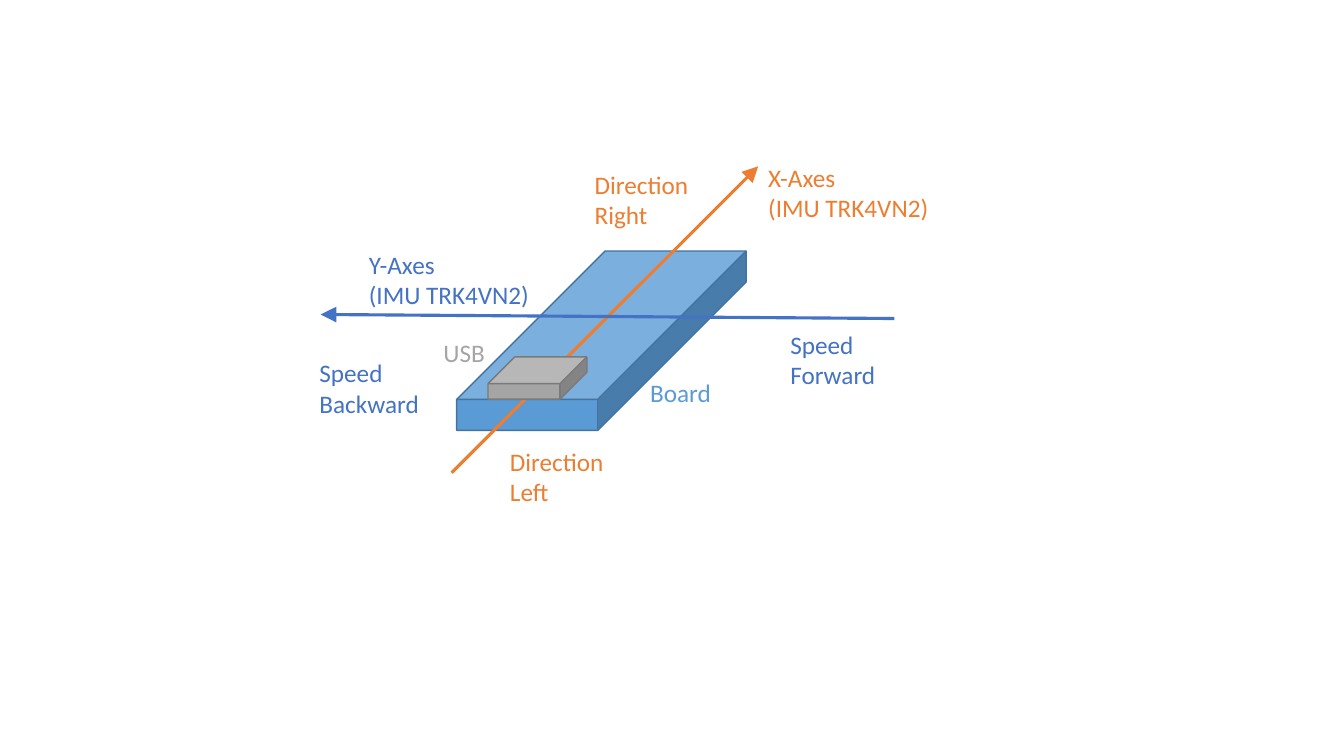
from dataclasses import dataclass

from lxml import etree
from pptx import Presentation
from pptx.dml.color import RGBColor
from pptx.enum.shapes import MSO_CONNECTOR, MSO_SHAPE
from pptx.enum.text import MSO_AUTO_SIZE
from pptx.oxml.ns import qn
from pptx.util import Inches, Pt

CUBE = MSO_SHAPE.CUBE
STRAIGHT = MSO_CONNECTOR.STRAIGHT
GROW = MSO_AUTO_SIZE.SHAPE_TO_FIT_TEXT

# Grid: ten columns and ten rows to the inch
COLS, ROWS = 133.3, 75
CELL = Inches(0.1)


@dataclass(frozen=True)
class Theme:
    font: str = "Calibri"
    size: int = 18
    edge: float = 1
    axis: float = 2.25
    x: str = "ED7D31"
    y: str = "4472C4"
    board: str = "5B9BD5"
    board_edge: str = "43739E"
    usb: str = "A5A5A5"
    usb_edge: str = "7A7A7A"


THEME = Theme()


def grid(*cells):
    return [round(n * CELL) for n in cells]


def rgb(code):
    return RGBColor.from_string(code)


def add_cube(slide, box, depth, fill, edge):
    cube = slide.shapes.add_shape(CUBE, *grid(*box))
    cube.shadow.inherit = False
    cube.adjustments[0] = depth
    cube.fill.solid()
    cube.fill.fore_color.rgb = rgb(fill)
    cube.line.color.rgb = rgb(edge)
    cube.line.width = Pt(THEME.edge)


def add_axis(slide, start, end, color):
    axis = slide.shapes.add_connector(STRAIGHT, *grid(*start, *end))
    axis.line.color.rgb = rgb(color)
    axis.line.width = Pt(THEME.axis)
    # Large arrowhead at the end, no shadow
    line = axis.line._get_or_add_ln()
    etree.SubElement(line, qn("a:tailEnd"), type="triangle", w="lg", len="lg")
    etree.SubElement(axis._element.spPr, qn("a:effectLst"))


def add_label(slide, text, box, color):
    frame = slide.shapes.add_textbox(*grid(*box)).text_frame
    frame.word_wrap = False
    frame.auto_size = GROW
    para = frame.paragraphs[0]
    para.text = text
    para.font.name = THEME.font
    para.font.size = Pt(THEME.size)
    para.font.color.rgb = rgb(color)


def main():
    deck = Presentation()
    deck.slide_width, deck.slide_height = grid(COLS, ROWS)
    slide = deck.slides.add_slide(deck.slide_layouts[6])

    # Board, its USB plug and the two axes, from back to front
    add_cube(slide, (45.3, 24.9, 28.7, 17.8), 0.827, THEME.board, THEME.board_edge)
    add_axis(slide, (44.8, 46.9), (75.2, 16.5), THEME.x)
    add_cube(slide, (48.4, 35.4, 9.8, 4.2), 0.632, THEME.usb, THEME.usb_edge)
    add_axis(slide, (88.7, 31.6), (31.8, 31.2), THEME.y)

    # Labels: text, box, colour
    one, two = 4, 7.1
    labels = [
        ("X-Axes\v(IMU TRK4VN2)", (75.2, 15.6, 18.2, two), THEME.x),
        ("Y-Axes\v(IMU TRK4VN2)", (35.6, 24.2, 18.8, two), THEME.y),
        ("Direction\vLeft", (49.6, 43.8, 11.4, two), THEME.x),
        ("Speed\vForward", (77.4, 32.2, 10.5, two), THEME.y),
        ("Board", (63.5, 36.9, 8.1, one), THEME.board),
        ("USB", (43, 33, 6.2, one), THEME.usb),
        ("Direction\vRight", (58, 16.3, 11.4, two), THEME.x),
        ("Speed\vBackward", (30.7, 35, 12, two), THEME.y),
    ]
    for text, box, color in labels:
        add_label(slide, text, box, color)

    deck.save("out.pptx")


if __name__ == "__main__":
    main()
